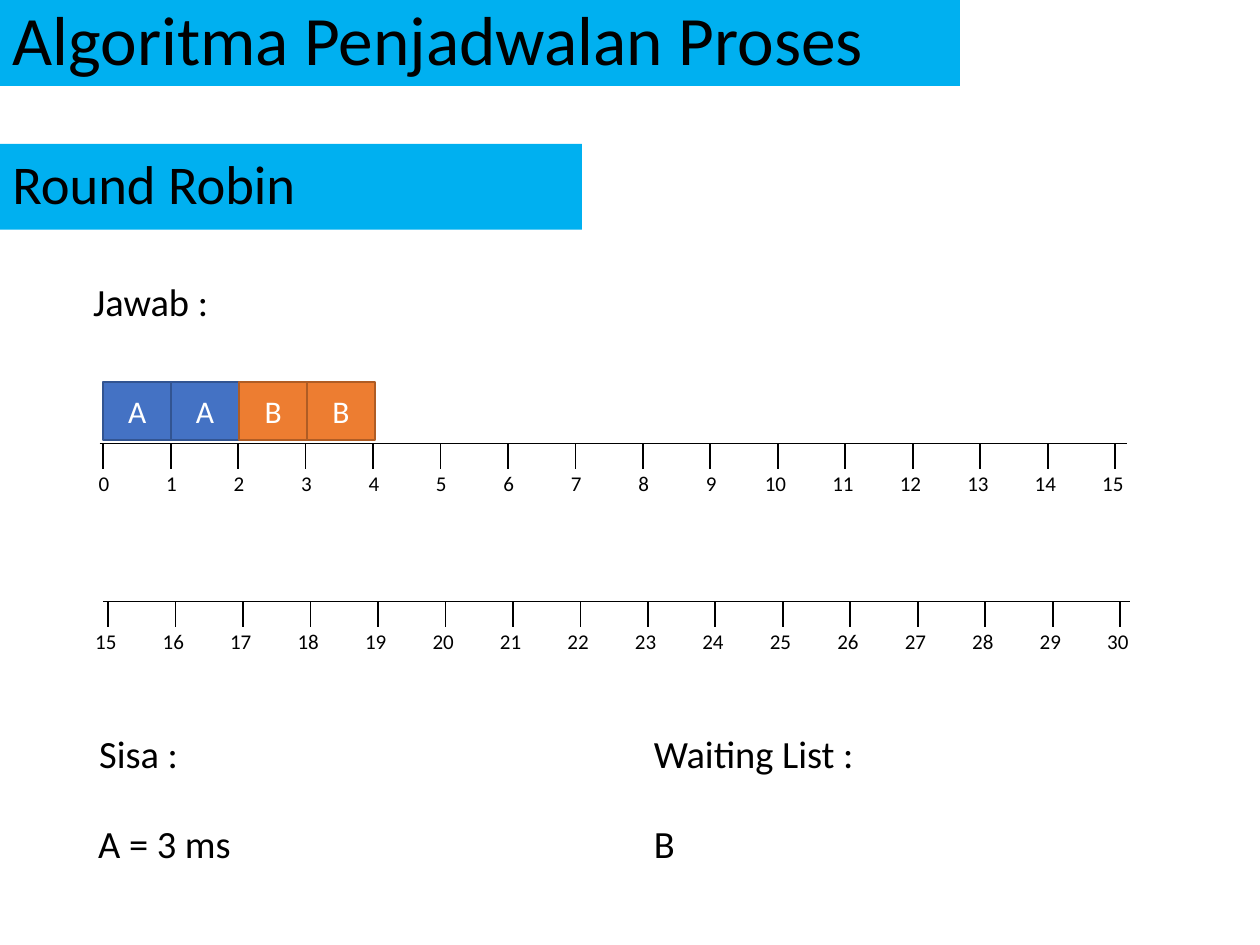
import lxml.etree
import pptx
import pptx.dml.color
import pptx.enum.shapes
import pptx.enum.text
import pptx.oxml.ns
import pptx.util

Cm = pptx.util.Cm
Pt = pptx.util.Pt
ALIGN = pptx.enum.text.PP_ALIGN
ANCHOR = pptx.enum.text.MSO_ANCHOR
FIT = pptx.enum.text.MSO_AUTO_SIZE

# Content; lengths are centimetres
TITLE = "Algoritma Penjadwalan Proses"
SUBTITLE = "Round Robin"
NOTES = [  # text, left, top
    ("Jawab :", 1.63, 5.49),
    ("Sisa :", 1.75, 14.6),
    ("Waiting List :", 12.93, 14.6),
    ("A = 3 ms", 1.73, 16.41),
    ("B", 12.93, 16.41),
]
TIMELINES = [  # first label, last label, axis left, first tick, axis top
    (0, 15, 2.01, 2.08, 8.94),
    (15, 30, 2.08, 2.18, 12.12),
]
SCHEDULE = ["A", "A", "B", "B"]

THEME = {
    "font": "Calibri",
    "text": "000000",
    "box_text": "FFFFFF",
    "band": "00B0F0",
    "axis": "000000",
    "process": {"A": ("4472C4", "325491"), "B": ("ED7D31", "AF5C24")},
    "title_size": 39.6,
    "subtitle_size": 31.2,
    "note_size": 22,
    "box_size": 18,
    "label_size": 12,
}

AXIS_LENGTH = 20.7
TICK_STEP = 1.36
TICK_LENGTH = 0.51
LABEL_DROP = 0.42
LABEL_HEIGHT = 0.77
LABEL_SHAPE = {1: (0.34, 0.84), 2: (0.51, 1.02)}  # digits: offset, width
BOX_LEFT, BOX_TOP, BOX_WIDTH, BOX_HEIGHT = 2.08, 7.7, 1.37, 1.17


def rgb(value):
    return pptx.dml.color.RGBColor.from_string(value)


def write(shape, text, size, color=THEME["text"], align=ALIGN.LEFT,
          anchor=ANCHOR.TOP, spacing=1.0, fit=FIT.NONE):
    frame = shape.text_frame
    frame.text = text
    frame.word_wrap = True
    frame.auto_size = fit
    frame.vertical_anchor = anchor
    paragraph = frame.paragraphs[0]
    paragraph.alignment = align
    paragraph.line_spacing = spacing
    font = paragraph.runs[0].font
    font.name = THEME["font"]
    font.size = Pt(size)
    font.color.rgb = rgb(color)


def add_text(shapes, text, left, top, width, height, **text_format):
    box = shapes.add_textbox(Cm(left), Cm(top), Cm(width), Cm(height))
    write(box, text, fit=FIT.SHAPE_TO_FIT_TEXT, **text_format)


def add_rectangle(shapes, left, top, width, height, fill, outline=None):
    shape = shapes.add_shape(pptx.enum.shapes.MSO_SHAPE.RECTANGLE,
                             Cm(left), Cm(top), Cm(width), Cm(height))
    shape.shadow.inherit = False
    shape.fill.solid()
    shape.fill.fore_color.rgb = rgb(fill)
    if outline:
        shape.line.color.rgb = rgb(outline)
        shape.line.width = Pt(1)
    else:
        shape.line.fill.background()
    return shape


def add_line(shapes, x1, y1, x2, y2, width):
    line = shapes.add_connector(pptx.enum.shapes.MSO_CONNECTOR.STRAIGHT,
                                Cm(x1), Cm(y1), Cm(x2), Cm(y2))
    line.line.color.rgb = rgb(THEME["axis"])
    line.line.width = Pt(width)
    properties = line._element.spPr
    lxml.etree.SubElement(properties, pptx.oxml.ns.qn("a:effectLst"))


def add_timeline(slide, first, last, axis_left, tick_left, top):
    shapes = slide.shapes.add_group_shape().shapes
    add_line(shapes, axis_left, top, axis_left + AXIS_LENGTH, top, 0.5)
    for index, number in enumerate(range(first, last + 1)):
        x = tick_left + index * TICK_STEP
        label = str(number)
        offset, width = LABEL_SHAPE[len(label)]
        add_line(shapes, x, top, x, top + TICK_LENGTH, 1)
        add_text(shapes, label, x - offset, top + LABEL_DROP, width,
                 LABEL_HEIGHT, size=THEME["label_size"])


def add_headings(slide):
    title = slide.shapes.title
    title.left, title.top = Cm(0), Cm(0)
    title.width, title.height = Cm(19.35), Cm(1.73)
    title.fill.solid()
    title.fill.fore_color.rgb = rgb(THEME["band"])
    write(title, TITLE, THEME["title_size"], anchor=ANCHOR.MIDDLE, spacing=0.9)
    subtitle = add_rectangle(slide.shapes, 0, 2.9, 11.73, 1.73, THEME["band"])
    write(subtitle, SUBTITLE, THEME["subtitle_size"],
          anchor=ANCHOR.MIDDLE, spacing=0.9)


def add_schedule(slide):
    for index, process in enumerate(SCHEDULE):
        fill, outline = THEME["process"][process]
        box = add_rectangle(slide.shapes, BOX_LEFT + index * BOX_WIDTH, BOX_TOP,
                            BOX_WIDTH, BOX_HEIGHT, fill, outline)
        write(box, process, THEME["box_size"], color=THEME["box_text"],
              align=ALIGN.CENTER, anchor=ANCHOR.MIDDLE)


def main():
    presentation = pptx.Presentation()
    presentation.slide_width, presentation.slide_height = Cm(25.4), Cm(19.05)
    slide = presentation.slides.add_slide(presentation.slide_layouts[5])
    add_headings(slide)
    for timeline in TIMELINES:
        add_timeline(slide, *timeline)
    add_schedule(slide)
    for text, left, top in NOTES:
        add_text(slide.shapes, text, left, top, 5.03, 1.19,
                 size=THEME["note_size"], align=ALIGN.JUSTIFY)
    presentation.save("out.pptx")


if __name__ == "__main__":
    main()
